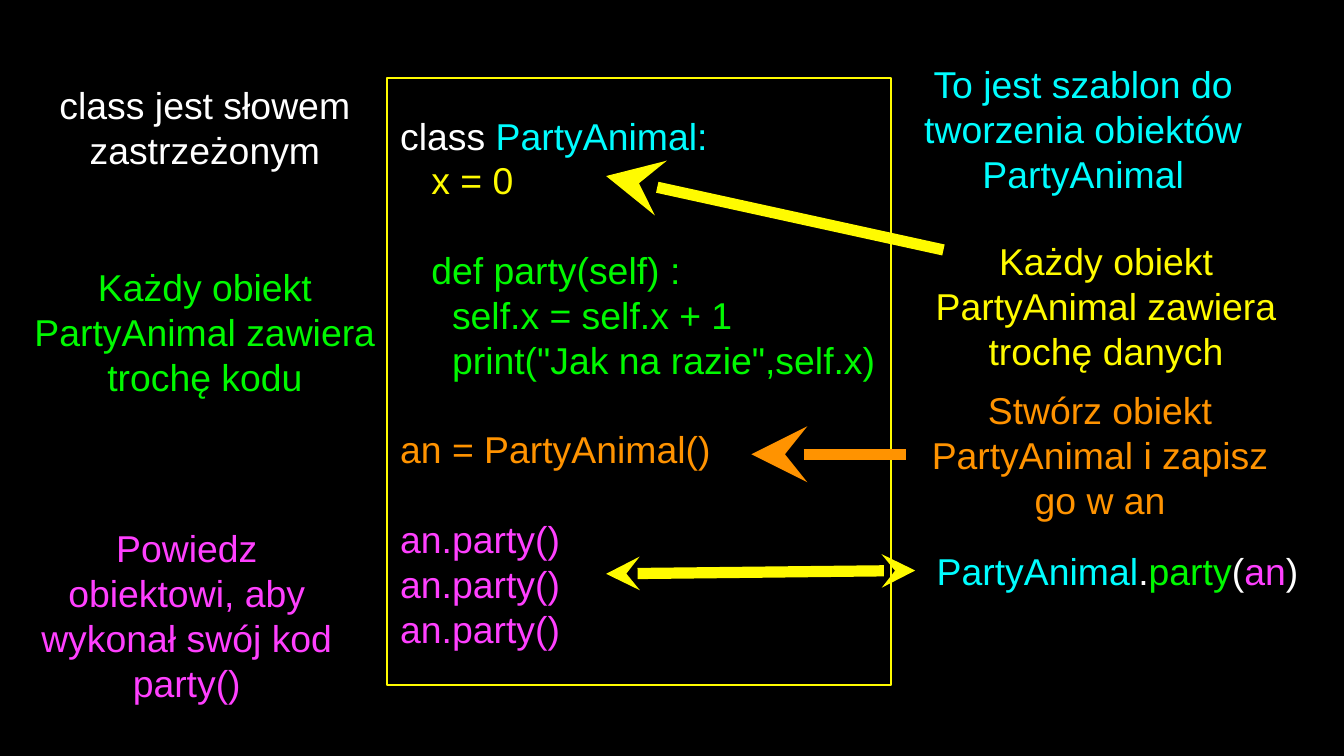
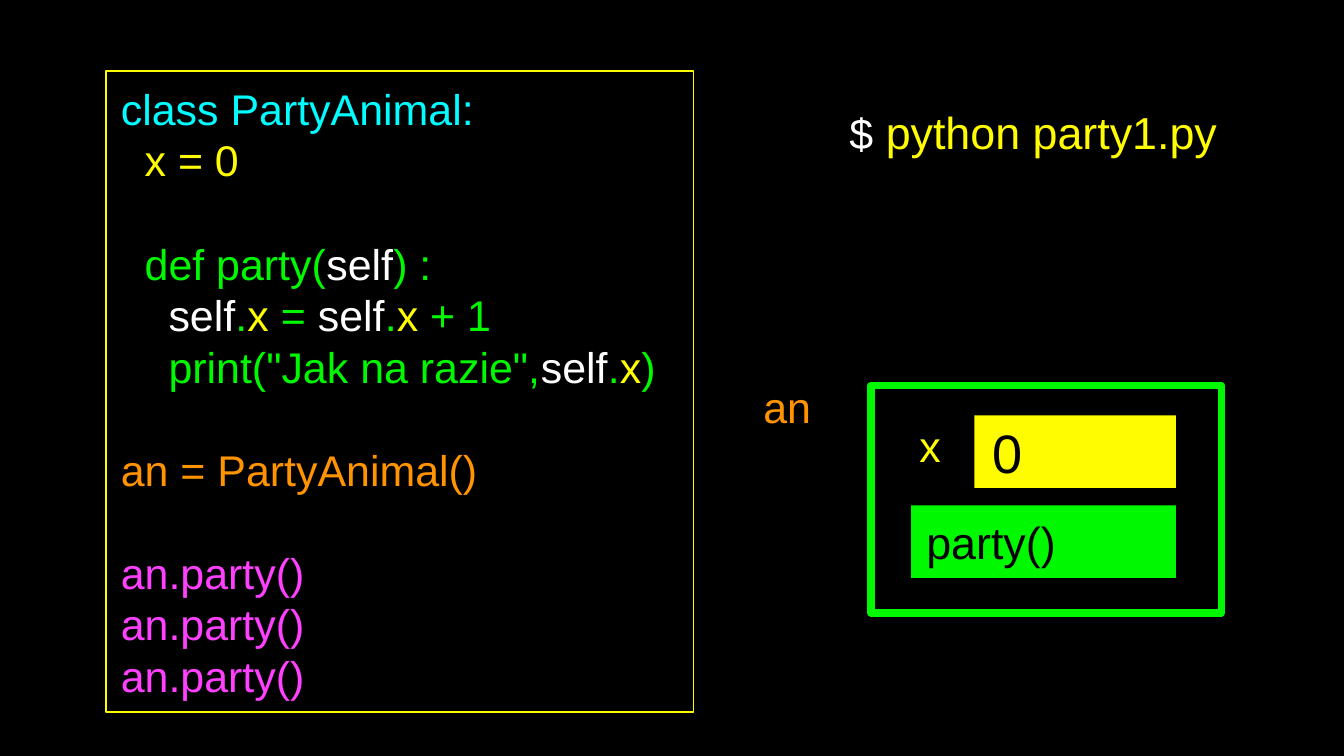
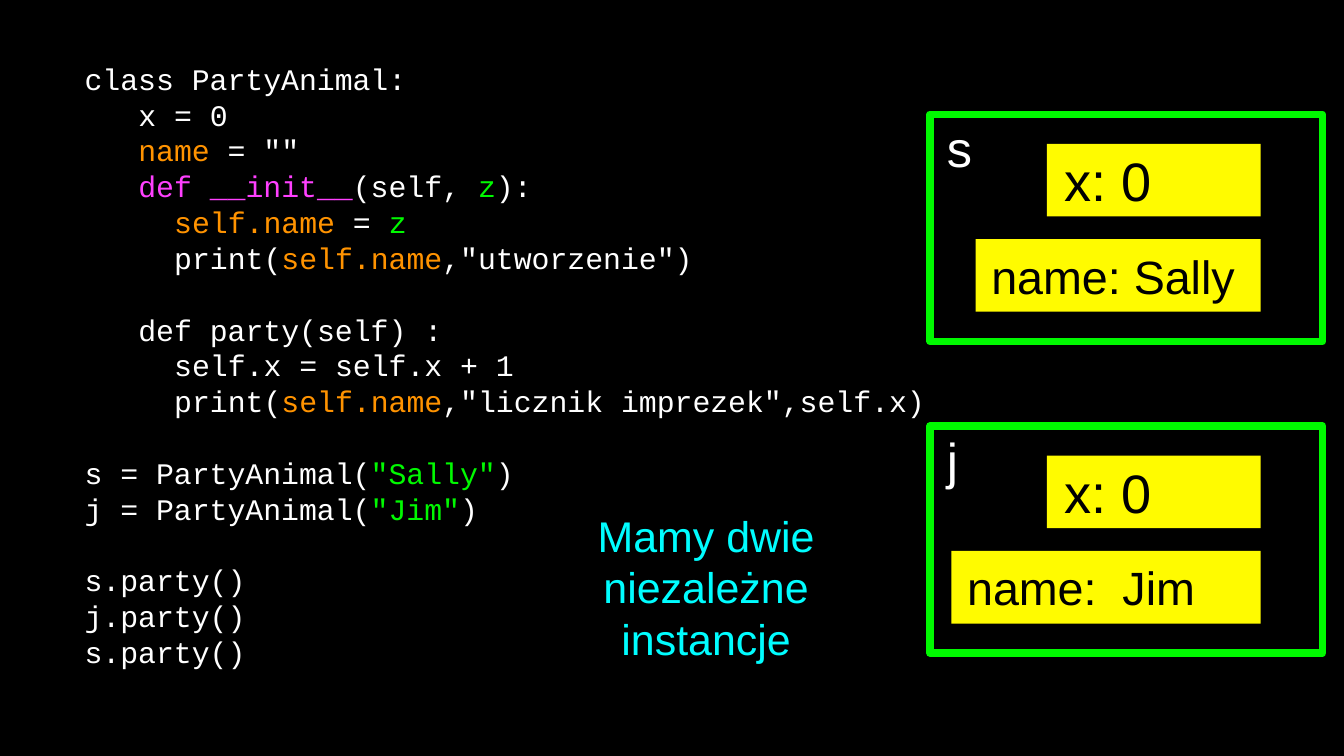
from lxml import etree
from pptx import Presentation
from pptx.dml.color import RGBColor
from pptx.enum.shapes import MSO_CONNECTOR, MSO_SHAPE
from pptx.enum.text import MSO_ANCHOR, PP_ALIGN
from pptx.oxml.ns import qn
from pptx.util import Inches, Pt

RECT = MSO_SHAPE.RECTANGLE
LINE = MSO_CONNECTOR.STRAIGHT
MID, TOP = MSO_ANCHOR.MIDDLE, MSO_ANCHOR.TOP
LEFT, CENTER = PP_ALIGN.LEFT, PP_ALIGN.CENTER
LEFT_SIDE = 1

WIDE, HIGH = Inches(10), Inches(5.625)
COLS, ROWS = 100, 56.25
PAD = Inches(0.02)
PITCH = 1.2
SANS, MONO = "Arial", "Courier New"
SPACE = {SANS: 0.278, MONO: 0.6}
HUES = {
    "black": "000000", "white": "FFFFFF", "cyan": "00FDFF",
    "yellow": "FFFB00", "lemon": "FFFF00", "green": "00F900",
    "orange": "FF9300", "pink": "FF40FF",
}


def hue(name):
    return RGBColor.from_string(HUES[name])


def col(n):
    return round(WIDE * n / COLS)


def row(n):
    return round(HIGH * n / ROWS)


def place(box):
    x, y, w, h = box
    return col(x), row(y), col(w), row(h)


def line(*runs, dent=0, gap=0):
    return runs, dent, gap


def write(shape, lines, size, font=SANS, align=LEFT, anchor=MID, top=0):
    frame = shape.text_frame
    frame.word_wrap = True
    frame.vertical_anchor = anchor
    frame.margin_left = frame.margin_right = frame.margin_bottom = PAD
    frame.margin_top = PAD + row(top)
    for i, (runs, dent, gap) in enumerate(lines):
        para = frame.add_paragraph() if i else frame.paragraphs[0]
        para.alignment = align
        para.line_spacing = Pt(size * PITCH)
        para.space_before = Pt(size * PITCH * gap)
        props = para._p.get_or_add_pPr()
        props.set("marL", str(Pt(dent * SPACE[font] * size)))
        props.set("indent", "0")
        for text, tint, *own in runs:
            run = para.add_run()
            run.text = text
            run.font.name = font
            run.font.size = Pt(own[0] if own else size)
            run.font.color.rgb = hue(tint)


def label(slide, box, lines, size, **style):
    shape = slide.shapes.add_textbox(*place(box))
    write(shape, lines, size, **style)
    return shape


def note(slide, box, text, tint, size=20):
    return label(slide, box, [line((text, tint))], size, align=CENTER)


def block(shapes, box, fill=None, edge=None, width=1):
    shape = shapes.add_shape(RECT, *place(box))
    shape.shadow.inherit = False
    if fill:
        shape.fill.solid()
        shape.fill.fore_color.rgb = hue(fill)
    else:
        shape.fill.background()
    if edge:
        shape.line.color.rgb = hue(edge)
        shape.line.width = Pt(width)
    else:
        shape.line.fill.background()
    return shape


def listing(slide, box, lines, size):
    write(block(slide.shapes, box, edge="yellow"), lines, size)


def arrow(slide, start, end, tint, size, both=False, goal=None):
    link = slide.shapes.add_connector(
        LINE, col(start[0]), row(start[1]), col(end[0]), row(end[1]))
    if goal:
        link.end_connect(goal, LEFT_SIDE)
    link.line.color.rgb = hue(tint)
    link.line.width = Pt(6)
    stroke = link.line._get_or_add_ln()
    for tip in ("a:headEnd", "a:tailEnd")[:2 if both else 1]:
        etree.SubElement(stroke, qn(tip), type="stealth", w=size, len=size)
    etree.SubElement(link._element.spPr, qn("a:effectLst"))


def card(shapes, box, slots, margin, name=None):
    x, y, w, h = box
    frame = block(shapes, box, edge="green", width=4)
    if name:
        write(frame, [line((name, "white"), dent=1)], 27, anchor=TOP)
    for text, fill, size, top, wide in slots:
        slot = block(shapes, (x + w - margin - wide, y + top, wide, 5.4), fill)
        write(slot, [line((text, "black"), dent=1)], size)


def calls():
    return [line(("an.party()", "pink"), dent=1, gap=int(i == 0))
            for i in range(3)]


def make():
    return line(("an = PartyAnimal()", "orange"), dent=1, gap=1)


def parts(slide):
    code = [
        line(("class ", "white"), ("PartyAnimal:", "cyan"), dent=1),
        line(("x = 0", "yellow"), dent=4),
        line(("def party(self) :", "green"), dent=4, gap=1),
        line(("self.x = self.x + 1", "green"), dent=6),
        line(('print("Jak na razie",self.x)', "green"), dent=6),
        make(), *calls(),
    ]
    listing(slide, (28.8, 5.8, 37.5, 45.2), code, 20)
    for box, text, tint in (
        ((67.4, 3.9, 26.4, 11.3),
         "To jest szablon do tworzenia obiektów PartyAnimal", "cyan"),
        ((0.8, 5.8, 28.9, 7.3), "class jest słowem zastrzeżonym", "white"),
        ((68.4, 17.4, 27.8, 10.7),
         "Każdy obiekt PartyAnimal zawiera trochę danych", "yellow"),
        ((0.8, 19.3, 28.9, 10.7),
         "Każdy obiekt PartyAnimal zawiera trochę kodu", "green"),
        ((2.7, 40.4, 22.4, 10.7),
         "Powiedz obiektowi, aby wykonał swój kod party()", "pink"),
    ):
        note(slide, box, text, tint)
    store = note(slide, (67.4, 28.9, 28.9, 9.8),
                 "Stwórz obiekt PartyAnimal i zapisz go w an", "orange")
    call = label(slide, (68.1, 40.4, 30.1, 4.1), [line(
        ("PartyAnimal", "cyan"), (".", "white"), ("party", "green"),
        ("(", "white"), ("an", "pink"), (")", "white"))], 20, align=CENTER)
    arrow(slide, (45.1, 13.1), (70.2, 18.6), "yellow", "lg")
    arrow(slide, (45.1, 42.7), (68.1, 42.4), "yellow", "med", True, call)
    arrow(slide, (55.9, 33.8), (67.4, 33.8), "orange", "lg", goal=store)


def launch(slide):
    card(slide.shapes, (64.8, 28.7, 26.1, 16.9), [
        ("0", "yellow", 29, 2.2, 15),
        ("party()", "green", 24, 8.9, 19.7)], 3.4)
    label(slide, (56.6, 27.4, 6, 9.1), [line(("an", "orange"))], 23,
          anchor=TOP, top=0.7)
    note(slide, (67.1, 31.2, 4.2, 3.8), "x", "lemon", 23)
    label(slide, (63, 6.6, 33.8, 14.1),
          [line(("$", "white", 23), (" ", "white"),
                ("python party1.py", "yellow"))],
          24, anchor=TOP, top=1)
    field = ("self", "white"), (".", "green"), ("x", "lemon")
    code = [
        line(("class PartyAnimal:", "cyan"), dent=1),
        line(("x = 0", "yellow"), dent=3),
        line(("def party(", "green"), ("self", "white"), (") :", "green"),
             dent=3, gap=1),
        line(*field, (" = ", "green"), *field, (" + 1", "green"), dent=5),
        line(('print("Jak na razie",', "green"), *field, (")", "green"),
             dent=5),
        make(), *calls(),
    ]
    listing(slide, (7.9, 5.3, 43.7, 47.7), code, 23)


def pair(slide):
    name = ("self.name", "orange")
    code = [
        line(("class PartyAnimal:", "white")),
        line(("x = 0", "white"), dent=3),
        line(("name", "orange"), (' = ""', "white"), dent=3),
        line(("def __init__", "pink"), ("(self, ", "white"), ("z", "green"),
             ("):", "white"), dent=3),
        line(name, (" = ", "white"), ("z", "green"), dent=5),
        line(("print(", "white"), name, (',"utworzenie")', "white"), dent=5),
        line(("def party(self) :", "white"), dent=3, gap=1),
        line(("self.x = self.x + 1", "white"), dent=5),
        line(("print(", "white"), name,
             (',"licznik imprezek",self.x)', "white"), dent=5),
    ]
    people = (("s", "Sally"), ("j", "Jim"))
    for i, (var, who) in enumerate(people):
        code.append(line((f"{var} = PartyAnimal(", "white"),
                         (f'"{who}"', "green"), (")", "white"),
                         gap=int(i == 0)))
    for i, var in enumerate("sjs"):
        code.append(line((f"{var}.party()", "white"), gap=int(i == 0)))
    label(slide, (6.1, 1.9, 67.2, 50.5), code, 16, font=MONO)
    texts = (("name: Sally", 21.2), ("name:  Jim", 23))
    for i, ((var, who), (text, wide)) in enumerate(zip(people, texts)):
        group = slide.shapes.add_group_shape()
        card(group.shapes, (69.2, 8.5 + 23.2 * i, 29.2, 16.9), [
            ("x: 0", "yellow", 29, 2.2, 15.9),
            (text, "yellow", 25, 9.3, wide)], 4.6, var)
    note(slide, (39.3, 38, 26.5, 11.3), "Mamy dwie niezależne instancje",
         "cyan", 23)


def main():
    deck = Presentation()
    deck.slide_width, deck.slide_height = WIDE, HIGH
    back = deck.slide_master.background.fill
    back.solid()
    back.fore_color.rgb = hue("black")
    for build in (parts, launch, pair):
        build(deck.slides.add_slide(deck.slide_layouts[6]))
    deck.save("out.pptx")


if __name__ == "__main__":
    main()
